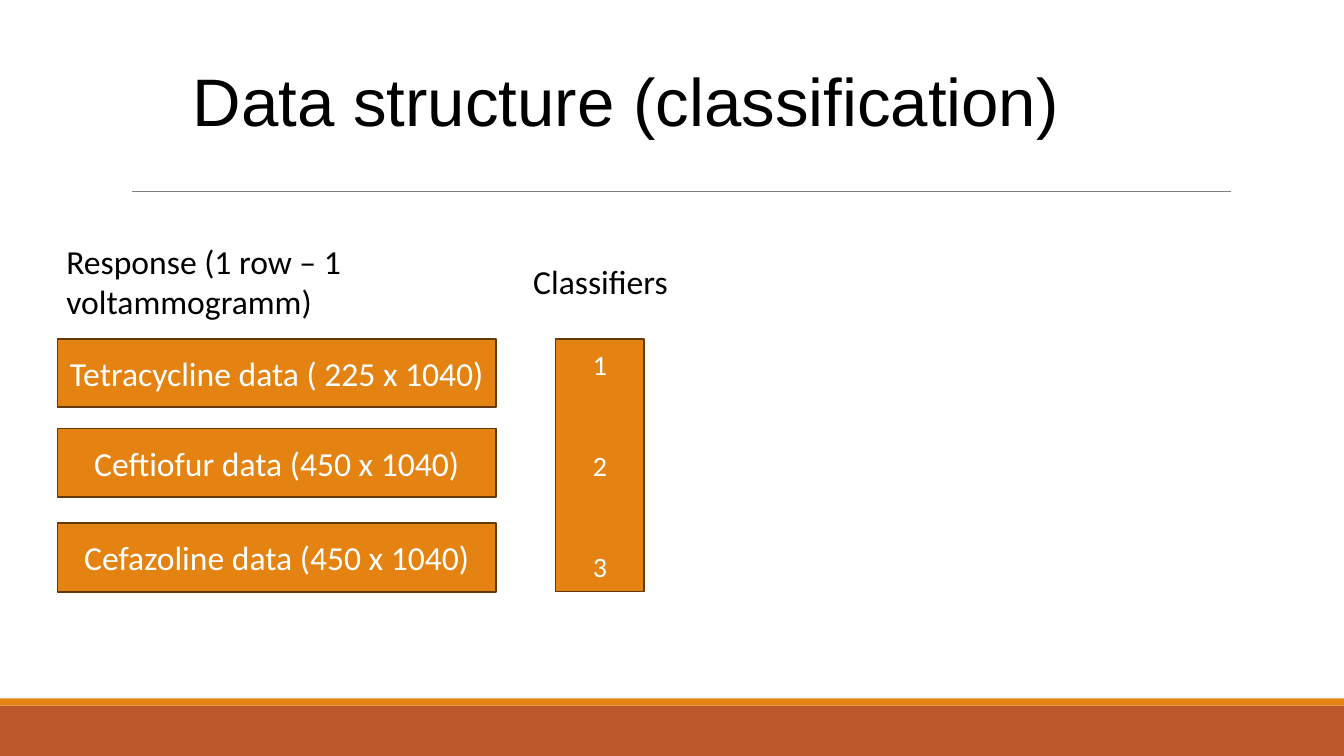
from dataclasses import dataclass

from pptx import Presentation
from pptx.dml.color import RGBColor
from pptx.enum.shapes import MSO_CONNECTOR, MSO_SHAPE
from pptx.enum.text import MSO_ANCHOR, PP_ALIGN
from pptx.oxml.ns import qn
from pptx.slide import Slide
from pptx.text.text import TextFrame
from pptx.util import Inches, Pt
from lxml.etree import SubElement


@dataclass(frozen=True)
class Theme:
    orange: str = "E48312"
    rust: str = "BD582C"
    outline: str = "643908"
    rule: str = "808080"
    light: str = "FFFFFF"
    dark: str = "000000"
    heading_font: str = "Arial"
    body_font: str = "Calibri"
    title_size: int = 48
    body_size: int = 24
    class_size: int = 20
    class_gap: int = 48


@dataclass(frozen=True)
class Area:
    left: float
    top: float
    width: float
    height: float

    def lengths(self) -> list[int]:
        return [Inches(v) for v in (self.left, self.top, self.width, self.height)]


@dataclass(frozen=True)
class Block:
    area: Area
    fill: str
    lines: tuple[str, ...] = ()
    size: int = 0
    gap: int = 0


@dataclass(frozen=True)
class Label:
    area: Area
    text: str
    size: int
    font: str
    align: PP_ALIGN = PP_ALIGN.LEFT
    anchor: MSO_ANCHOR = MSO_ANCHOR.TOP
    inset: tuple[float, float] = (0.1, 0.05)


THEME = Theme()
DATA_LEFT, DATA_WIDTH, DATA_HEIGHT = 0.57, 4.35, 0.68

# Footer bands, data sets and the column of classes
BLOCKS = [
    Block(Area(0, 7, 13.33, 0.5), THEME.rust),
    Block(Area(0, 6.93, 13.33, 0.07), THEME.orange),
    *(
        Block(Area(DATA_LEFT, top, DATA_WIDTH, DATA_HEIGHT), THEME.orange,
              (f"{data_set})",), THEME.body_size)
        for top, data_set in (
            (3.36, "Tetracycline data ( 225 x 1040"),
            (4.25, "Ceftiofur data (450 x 1040"),
            (5.19, "Cefazoline data (450 x 1040"),
        )
    ),
    Block(Area(5.51, 3.36, 0.88, 2.51), THEME.orange, ("1", "2", "3"),
          THEME.class_size, THEME.class_gap),
]

# Column headings and slide title
LABELS = [
    Label(Area(0.56, 2.34, 4.35, 0.91), "Response (1 row – 1 voltammogramm)",
          THEME.body_size, THEME.body_font),
    Label(Area(5.19, 2.54, 3.93, 0.5), "Classifiers",
          THEME.body_size, THEME.body_font),
    Label(Area(0, 0.37, 12.42, 1.23), "Data structure (classification)",
          THEME.title_size, THEME.heading_font, PP_ALIGN.CENTER,
          MSO_ANCHOR.MIDDLE, (0.13, 0.13)),
]


def rgb(value: str) -> RGBColor:
    return RGBColor.from_string(value)


def write(frame: TextFrame, lines: tuple[str, ...], size: int, font: str,
          color: str, align: PP_ALIGN, anchor: MSO_ANCHOR,
          inset: tuple[float, float] = (0.1, 0.05), gap: int = 0) -> None:
    side, edge = (Inches(v) for v in inset)
    frame_format = {
        "word_wrap": True, "vertical_anchor": anchor,
        "margin_left": side, "margin_right": side,
        "margin_top": edge, "margin_bottom": edge,
    }
    for name, value in frame_format.items():
        setattr(frame, name, value)
    for index, line in enumerate(lines):
        paragraph = frame.add_paragraph() if index else frame.paragraphs[0]
        paragraph.alignment = align
        if index and gap:
            paragraph.space_before = Pt(gap)
        run = paragraph.add_run()
        run.text = line
        for name, value in {"size": Pt(size), "name": font}.items():
            setattr(run.font, name, value)
        run.font.color.rgb = rgb(color)


def draw_block(slide: Slide, block: Block) -> None:
    box = slide.shapes.add_shape(MSO_SHAPE.RECTANGLE, *block.area.lengths())
    box.shadow.inherit = False
    box.fill.solid()
    box.fill.fore_color.rgb = rgb(block.fill)
    if not block.lines:
        box.line.fill.background()
        return
    box.line.color.rgb = rgb(THEME.outline)
    box.line.width = Pt(1.25)
    write(box.text_frame, block.lines, block.size, THEME.body_font, THEME.light,
          PP_ALIGN.CENTER, MSO_ANCHOR.MIDDLE, gap=block.gap)


def draw_label(slide: Slide, label: Label) -> None:
    text_box = slide.shapes.add_textbox(*label.area.lengths())
    write(text_box.text_frame, (label.text,), label.size, label.font, THEME.dark,
          label.align, label.anchor, label.inset)


def draw_title_rule(slide: Slide) -> None:
    ends = [Inches(v) for v in (1.31, 1.9, 12.21, 1.9)]
    title_rule = slide.shapes.add_connector(MSO_CONNECTOR.STRAIGHT, *ends)
    title_rule.line.color.rgb = rgb(THEME.rule)
    title_rule.line.width = Pt(0.5)
    SubElement(title_rule.line._get_or_add_ln().getparent(), qn("a:effectLst"))


def main() -> None:
    deck = Presentation()
    deck.slide_width, deck.slide_height = Inches(13.33), Inches(7.5)
    slide = deck.slides.add_slide(deck.slide_layouts[6])
    draw_title_rule(slide)
    for block in BLOCKS:
        draw_block(slide, block)
    for label in LABELS:
        draw_label(slide, label)
    deck.save("out.pptx")


if __name__ == "__main__":
    main()
